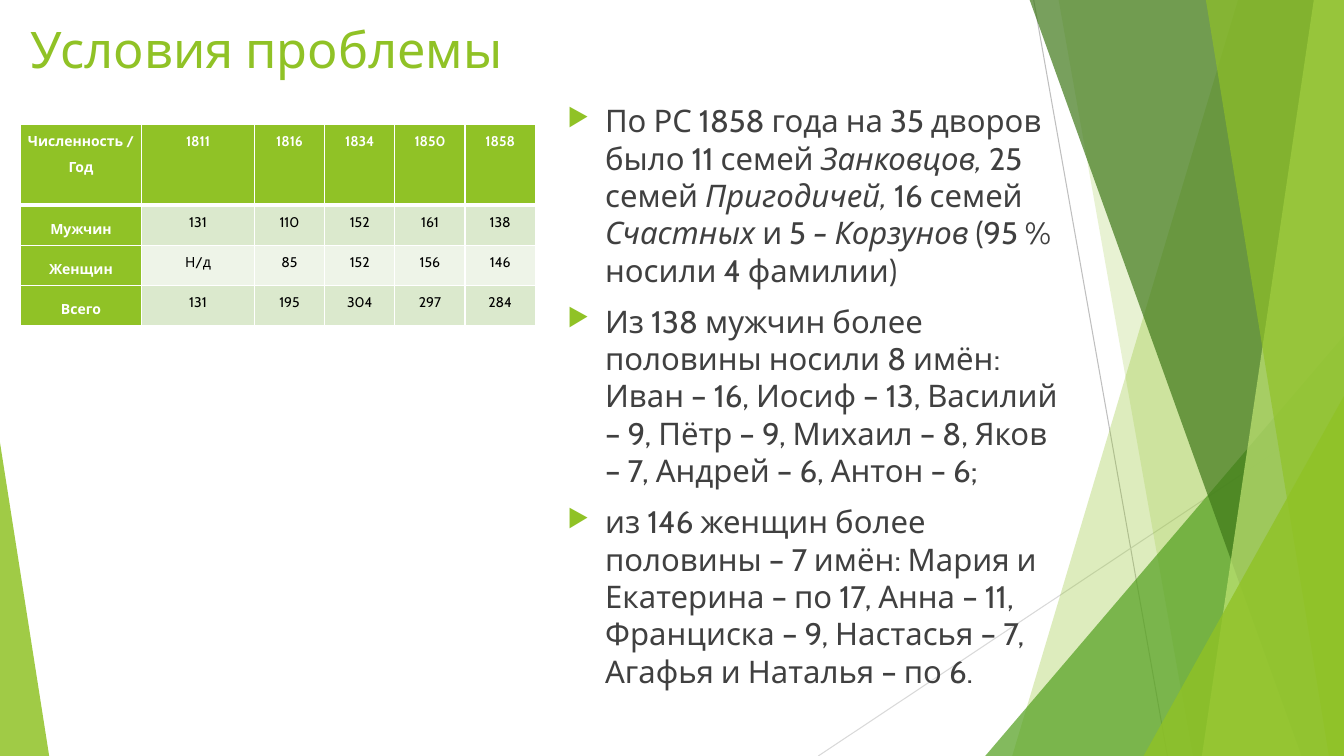
from lxml import etree
from pptx import Presentation, util as u
from pptx.dml.color import RGBColor
from pptx.enum import shapes, text
from pptx.oxml import ns

FONT = "Cabin"
GREEN = "90C226"
WHITE = "FFFFFF"

HEADER = ["Численность / Год", "1811", "1816", "1834", "1850", "1858"]
CENSUS = [
    ["Мужчин", "131", "110", "152", "161", "138"],
    ["Женщин", "Н/д", "85", "152", "156", "146"],
    ["Всего", "131", "195", "304", "297", "284"],
]
COLUMN_WIDTHS = [3.06, 2.84] + [1.77] * 4
ROW_HEIGHTS = [2.03] + [1.01] * 3

FINDINGS = [
    [("По РС 1858 года на 35 дворов было 11 семей ", False), ("Занковцов, ", True),
     ("25 семей ", False), ("Пригодичей, ", True), ("16 семей ", False),
     ("Счастных ", True), ("и 5 ", False), ("– Корзунов ", True),
     ("(95 % носили 4 фамилии)", False)],
    [("Из 138 мужчин более половины носили 8 имён: Иван – 16, Иосиф – 13, "
      "Василий – 9, Пётр – 9, Михаил – 8, Яков – 7, Андрей – 6, Антон – 6;", False)],
    [("из 146 женщин более половины – 7 имён: Мария и Екатерина – по 17, Анна – 11, "
      "Франциска – 9, Настасья – 7, Агафья и Наталья – по 6.", False)],
]


def color(value):
    return RGBColor.from_string(value)


def add(parent, tag, **attributes):
    return etree.SubElement(parent, ns.qn(tag), attributes)


def paint(shape, fill, opacity):
    shape.shadow.inherit = False
    shape.line.fill.background()
    shape.fill.solid()
    shape.fill.fore_color.rgb = color(fill)
    fill_color = shape.fill._xPr.find(ns.qn("a:solidFill"))[0]
    add(fill_color, "a:alpha", val=str(opacity * 1000))


def set_font(font, size, fill, bold=False):
    font.name = FONT
    font.size = u.Pt(size)
    font.bold = bold
    font.color.rgb = color(fill)


def add_ray(slide, x1, y1, x2, y2, stroke):
    ray = slide.shapes.add_connector(
        shapes.MSO_CONNECTOR.STRAIGHT, u.Cm(x1), u.Cm(y1), u.Cm(x2), u.Cm(y2))
    ray.line.color.rgb = color(stroke)
    ray.line.width = u.Pt(0.75)
    add(ray._element.spPr, "a:effectLst")


def add_wedge(slide, left, bottom, width, height, apex, fill, opacity):
    wedge = slide.shapes.add_shape(
        shapes.MSO_SHAPE.ISOSCELES_TRIANGLE,
        u.Cm(left), u.Cm(bottom - height), u.Cm(width), u.Cm(height))
    wedge.adjustments[0] = apex
    paint(wedge, fill, opacity)


def add_facets(slide, left, top, width, height):
    right, bottom = left + width, top + height

    def slab(top_reach, bottom_reach, fill, opacity):
        outline = slide.shapes.build_freeform(u.Cm(right - top_reach), u.Cm(top))
        outline.add_line_segments([
            (u.Cm(right), u.Cm(top)),
            (u.Cm(right), u.Cm(bottom)),
            (u.Cm(right - bottom_reach), u.Cm(bottom)),
        ])
        paint(outline.convert_to_shape(), fill, opacity)

    def corner(reach, rise, fill, opacity):
        add_wedge(slide, right - reach, bottom, reach, rise, 1, fill, opacity)

    add_ray(slide, right - 7.82, top, right - 4.45, bottom, "BFBFBF")
    add_ray(slide, right, top + 10.24, left, bottom, "D9D9D9")
    slab(2.67, 8.36, GREEN, 30)
    slab(7.19, 3.81, GREEN, 20)
    corner(9.04, 10.59, "54A021", 72)
    slab(7.92, 1.07, "3F7819", 70)
    slab(0.76, 3.58, "C0E474", 70)
    slab(3.48, 0.38, GREEN, 65)
    corner(5.05, 9.07, GREEN, 80)


def add_text_frame(slide, left, top, width, height):
    frame = slide.shapes.add_textbox(
        u.Cm(left), u.Cm(top), u.Cm(width), u.Cm(height)).text_frame
    frame.word_wrap = True
    return frame


def add_title(slide, *box):
    heading = add_text_frame(slide, *box).paragraphs[0]
    heading.text = "Условия проблемы"
    set_font(heading.font, 36, GREEN)


def fill_cell(cell, content, row, column):
    is_label = row == 0 or column == 0
    cell.margin_left = cell.margin_right = u.Cm(0.13)
    cell.margin_top = cell.margin_bottom = 0
    if row and column == 0:
        cell.vertical_anchor = text.MSO_ANCHOR.MIDDLE
    properties = cell._tc.get_or_add_tcPr()
    for side in "LRTB":
        thick = (row, side) in ((0, "B"), (1, "T"))
        border = add(properties, f"a:ln{side}", w=str(u.Pt(3 if thick else 1)))
        add(add(border, "a:solidFill"), "a:srgbClr", val=WHITE)
    cell.fill.solid()
    band = "DBE9CD" if row % 2 else "EEF4E8"
    cell.fill.fore_color.rgb = color(GREEN if is_label else band)
    paragraph = cell.text_frame.paragraphs[0]
    paragraph.text = content
    paragraph.alignment = text.PP_ALIGN.CENTER
    paragraph.line_spacing = 1.5
    set_font(paragraph.font, 10, WHITE if is_label else "000000", is_label)


def add_census(slide, left, top):
    rows = [HEADER] + CENSUS
    census = slide.shapes.add_table(
        len(rows), len(HEADER), u.Cm(left), u.Cm(top),
        u.Cm(sum(COLUMN_WIDTHS)), u.Cm(sum(ROW_HEIGHTS))).table
    for column, width in zip(census.columns, COLUMN_WIDTHS):
        column.width = u.Cm(width)
    for row, height in zip(census.rows, ROW_HEIGHTS):
        row.height = u.Cm(height)
    for r, values in enumerate(rows):
        for c, value in enumerate(values):
            fill_cell(census.cell(r, c), value, r, c)


def add_findings(slide, *box):
    frame = add_text_frame(slide, *box)
    for index, pieces in enumerate(FINDINGS):
        finding = frame.add_paragraph() if index else frame.paragraphs[0]
        finding.space_before = u.Pt(10)
        finding.line_spacing = 1.0
        set_font(finding.font, 22.2, "404040")
        properties = finding._p.get_or_add_pPr()
        properties.set("marL", str(u.Cm(0.95)))
        properties.set("indent", str(-u.Cm(0.95)))
        bullet = [etree.Element(ns.qn(tag))
                  for tag in ("a:buClr", "a:buSzPct", "a:buFont", "a:buChar")]
        add(bullet[0], "a:srgbClr", val=GREEN)
        bullet[1].set("val", "80000")
        bullet[2].set("typeface", "OpenSymbol")
        bullet[3].set("char", "▶")
        defaults = properties.find(ns.qn("a:defRPr"))
        for part in bullet:
            defaults.addprevious(part)
        for words, italic in pieces:
            run = finding.add_run()
            run.text = words
            set_font(run.font, 22.2, "404040")
            run.font.italic = italic


def main():
    deck = Presentation()
    deck.slide_width, deck.slide_height = u.Cm(33.87), u.Cm(19.05)
    slide = deck.slides.add_slide(deck.slide_layouts[6])
    add_facets(slide, 20.62, 0, 13.25, 19.05)
    add_wedge(slide, 0, 19.05, 1.24, 7.9, 0, GREEN, 85)
    add_title(slide, 0.51, 0.32, 23.88, 2.39)
    add_census(slide, 0.51, 3.14)
    add_findings(slide, 14.05, 2.44, 12.98, 15.8)
    deck.save("out.pptx")


if __name__ == "__main__":
    main()
